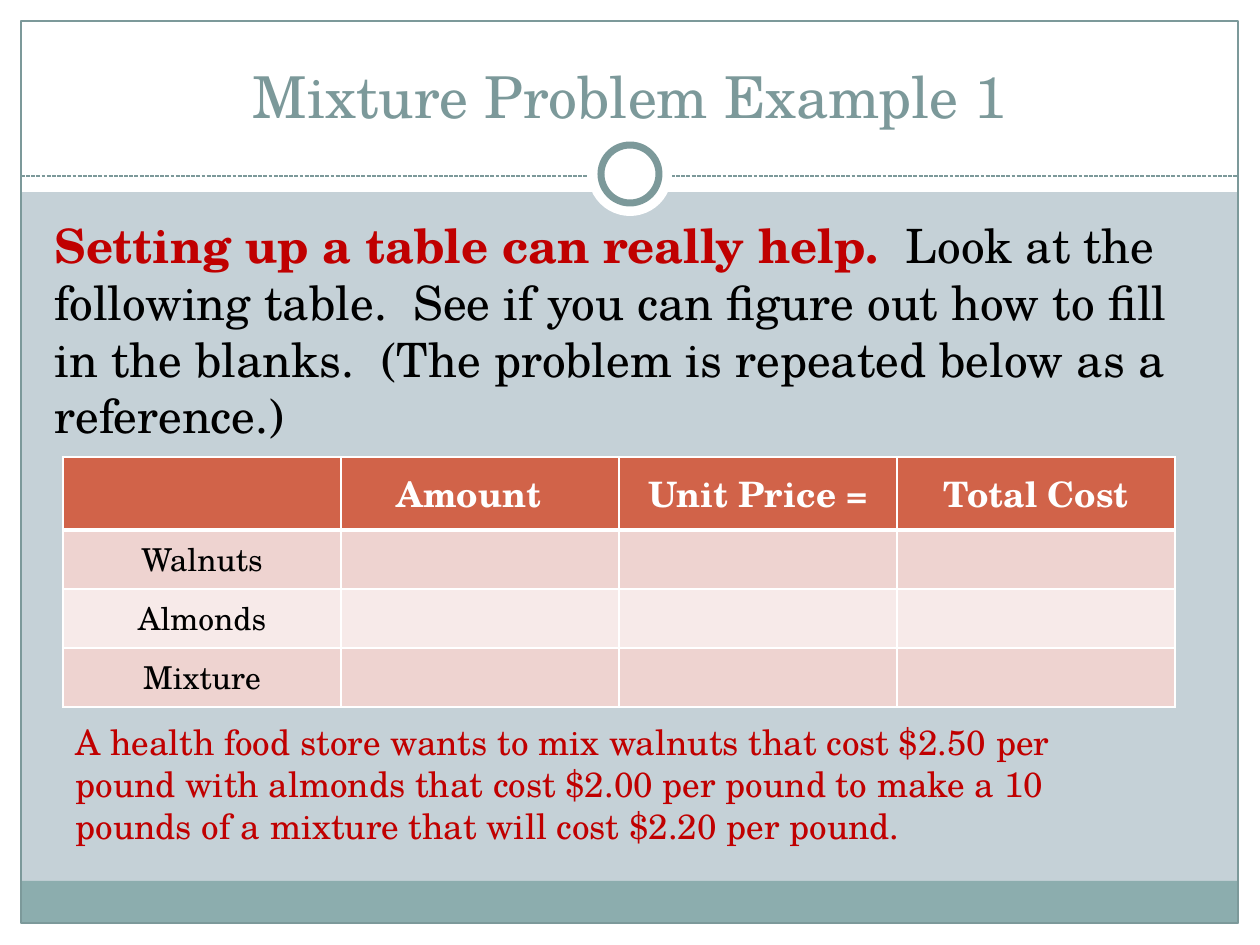
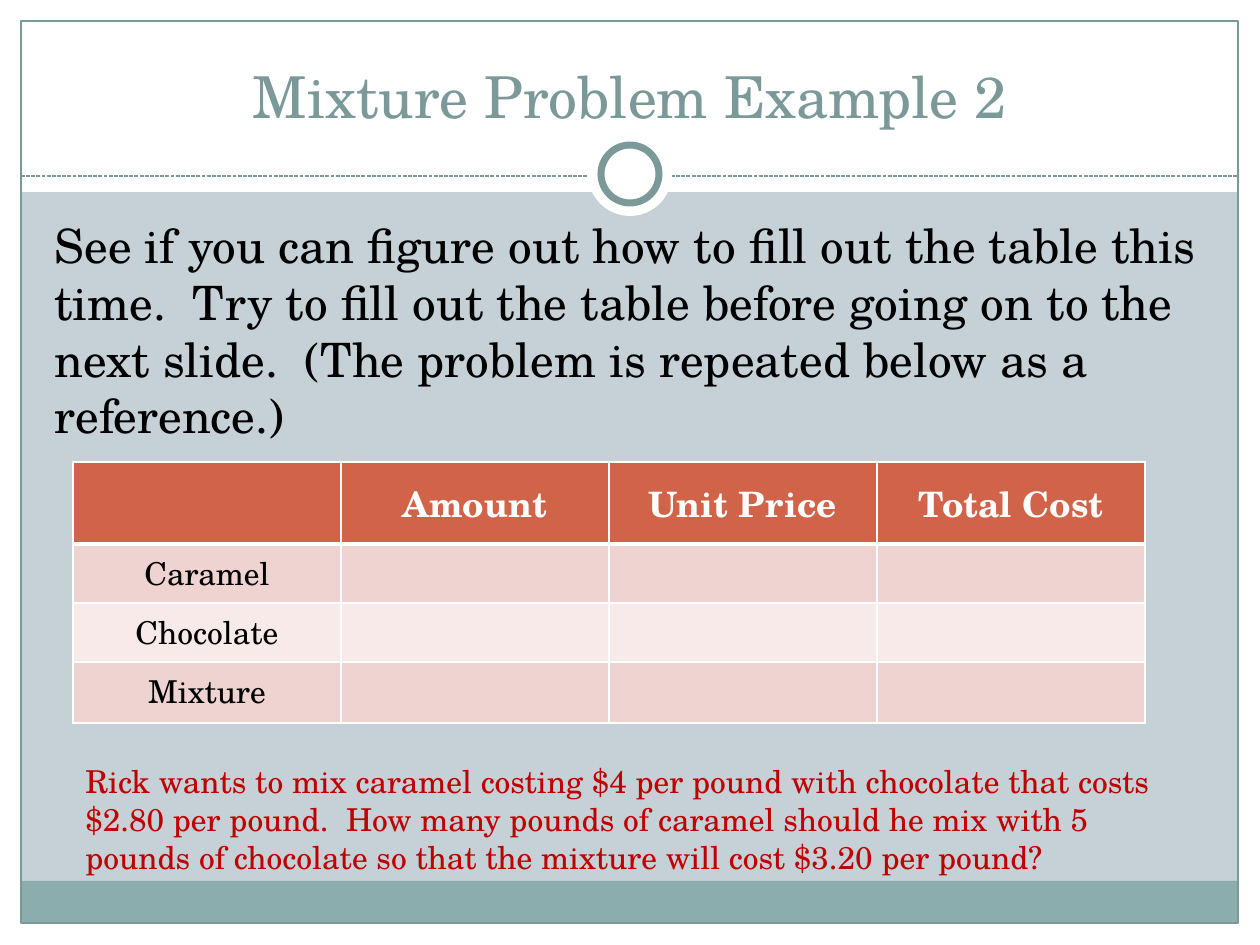
from lxml import etree
from pptx import Presentation
from pptx.dml.color import RGBColor
from pptx.enum.dml import MSO_LINE
from pptx.enum.shapes import MSO_CONNECTOR, MSO_SHAPE
from pptx.enum.text import MSO_ANCHOR, MSO_AUTO_SIZE, PP_ALIGN
from pptx.oxml.ns import qn
from pptx.util import Pt

PIXEL = 914400 // 126
FONT = "TeX Gyre Schola"
COLORS = {
    "background": "C5D1D7", "white": "FFFFFF", "footer": "8CADAE",
    "accent": "7C999A", "red": "C00000", "black": "000000",
    "header": "D16349", "row_dark": "EED3D0", "row_light": "F7EAE9",
}
RECTANGLE, OVAL = MSO_SHAPE.RECTANGLE, MSO_SHAPE.OVAL
STRAIGHT, SHORT_DASH = MSO_CONNECTOR.STRAIGHT, MSO_LINE.SQUARE_DOT
CENTER, MIDDLE, BOTTOM = PP_ALIGN.CENTER, MSO_ANCHOR.MIDDLE, MSO_ANCHOR.BOTTOM
NO_AUTOFIT = MSO_AUTO_SIZE.NONE

# kind, left, top, width, height, fill, line width in points
FRAME_SHAPES = [
    (RECTANGLE, 0, 924, 1260, 21, "white", 0),
    (RECTANGLE, 0, 0, 1260, 192, "white", 0),
    (RECTANGLE, 0, 0, 21, 945, "white", 0),
    (RECTANGLE, 1239, 0, 21, 945, "white", 0),
    (RECTANGLE, 21, 881, 1217, 43, "footer", 0),
    (RECTANGLE, 21, 21, 1217, 902, None, 0.75),
    ("divider", 21, 176, 1217, 0, None, 0.75),
    (OVAL, 588, 132, 84, 84, "white", 0),
    (OVAL, 601, 145, 58, 58, "white", 4),
]

SLIDES = [
    {
        "title": "Mixture Problem Example 1",
        "intro": [
            ("Setting up a table can really help.  ", "red", True),
            ("Look at the following table.  See if you can figure out how to "
             "fill in the blanks.  (The problem is repeated below as a "
             "reference.)", "black", False),
        ],
        "headings": ["", "Amount", "Unit Price =", "Total Cost"],
        "heading_shift": 22,
        "ingredients": ["Walnuts", "Almonds", "Mixture"],
        "table_at": (63, 457), "column_width": 278,
        "row_heights": [73, 59, 59, 59],
        "problem": "A health food store wants to mix walnuts that cost $2.50 "
                   "per pound with almonds that cost $2.00 per pound to make "
                   "a 10 pounds of a mixture that will cost $2.20 per pound.",
        "problem_at": (63, 714, 1092, 178), "problem_size": 20,
    },
    {
        "title": "Mixture Problem Example 2",
        "intro": [
            ("See if you can figure out how to fill out the table this time.  "
             "Try to fill out the table before going on to the next slide.  "
             "(The problem is repeated below as a reference.)",
             "black", False),
        ],
        "headings": ["", "Amount", "Unit Price", "Total Cost"],
        "heading_shift": 0,
        "ingredients": ["Caramel", "Chocolate", "Mixture"],
        "table_at": (73, 462), "column_width": 268,
        "row_heights": [82, 59, 59, 61],
        "problem": "Rick wants to mix caramel costing $4 per pound with "
                   "chocolate that costs $2.80 per pound.  How many pounds of "
                   "caramel should he mix with 5 pounds of chocolate so that "
                   "the mixture will cost $3.20 per pound?",
        "problem_at": (73, 756, 1124, 165), "problem_size": 18,
    },
]


def format_runs(para, size, color, bold=False):
    """Give every run of a paragraph its font, size, colour and weight."""
    for span in para.runs:
        span.font.name = FONT
        span.font.size = Pt(size)
        span.font.bold = bold
        span.font.color.rgb = RGBColor.from_string(COLORS[color])


def add_borders(cell, top, bottom):
    """Draw white cell borders; top and bottom widths are in points."""
    properties = cell._tc.get_or_add_tcPr()
    for side, width in (("L", 1), ("R", 1), ("T", top), ("B", bottom)):
        line = etree.SubElement(properties, qn(f"a:ln{side}"), w=str(Pt(width)))
        fill = etree.SubElement(line, qn("a:solidFill"))
        etree.SubElement(fill, qn("a:srgbClr"), val=COLORS["white"])


deck = Presentation()
deck.slide_width = 1260 * PIXEL
deck.slide_height = 945 * PIXEL
layout = deck.slide_layouts[1]
layout.background.fill.solid()
layout.background.fill.fore_color.rgb = RGBColor.from_string(COLORS["background"])
pages = [deck.slides.add_slide(layout) for _ in SLIDES]

# Shared frame: drawn once, then moved to the layout
for kind, left, top, width, height, fill, line_width in FRAME_SHAPES:
    left, top, width, height = (n * PIXEL for n in (left, top, width, height))
    if kind == "divider":
        shape = pages[0].shapes.add_connector(STRAIGHT, left, top, left + width, top)
        etree.SubElement(shape._element.spPr, qn("a:effectLst"))
        shape.line.dash_style = SHORT_DASH
    else:
        shape = pages[0].shapes.add_shape(kind, left, top, width, height)
        shape.shadow.inherit = False
        if fill:
            shape.fill.solid()
            shape.fill.fore_color.rgb = RGBColor.from_string(COLORS[fill])
        else:
            shape.fill.background()
    if line_width:
        shape.line.width = Pt(line_width)
        shape.line.color.rgb = RGBColor.from_string(COLORS["accent"])
    else:
        shape.line.fill.background()
    layout.shapes.element.append(shape._element)

for page, content in zip(pages, SLIDES):
    title, body = page.placeholders
    title.left, title.top = 42 * PIXEL, 32 * PIXEL
    title.width, title.height = 1176 * PIXEL, 104 * PIXEL
    title.text_frame.text = content["title"]
    title.text_frame.auto_size = NO_AUTOFIT
    title.text_frame.vertical_anchor = BOTTOM
    title.text_frame.paragraphs[0].alignment = CENTER
    format_runs(title.text_frame.paragraphs[0], 33, "accent")

    body.left, body.top = 42 * PIXEL, 210 * PIXEL
    body.width, body.height = 1172 * PIXEL, 246 * PIXEL
    body.text_frame.auto_size = NO_AUTOFIT
    para = body.text_frame.paragraphs[0]
    properties = para._p.get_or_add_pPr()
    properties.set("marL", "0")
    properties.set("indent", "0")
    etree.SubElement(properties, qn("a:buNone"))
    for text, color, bold in content["intro"]:
        span = para.add_run()
        span.text = text
        span.font.name = FONT
        span.font.size = Pt(27)
        span.font.bold = bold
        span.font.color.rgb = RGBColor.from_string(COLORS[color])

    left, top = content["table_at"]
    heights = content["row_heights"]
    table = page.shapes.add_table(
        4, 4, left * PIXEL, top * PIXEL,
        4 * content["column_width"] * PIXEL, sum(heights) * PIXEL).table
    for column in table.columns:
        column.width = content["column_width"] * PIXEL
    rows = [content["headings"]] + [[name, "", "", ""] for name in content["ingredients"]]
    for row, texts in enumerate(rows):
        table.rows[row].height = heights[row] * PIXEL
        row_fill = "header" if row == 0 else "row_dark" if row % 2 else "row_light"
        for column, text in enumerate(texts):
            cell = table.cell(row, column)
            add_borders(cell, 3 if row == 1 else 1, 3 if row == 0 else 1)
            cell.fill.solid()
            cell.fill.fore_color.rgb = RGBColor.from_string(COLORS[row_fill])
            if not text:
                continue
            cell.text_frame.text = text
            para = cell.text_frame.paragraphs[0]
            para.alignment = CENTER
            if row == 0:
                cell.vertical_anchor = MIDDLE
                format_runs(para, 20, "white", True)
            else:
                format_runs(para, 18, "black")
    table.cell(0, 1).margin_right += content["heading_shift"] * PIXEL

    box = page.shapes.add_textbox(*(n * PIXEL for n in content["problem_at"]))
    box.text_frame.word_wrap = True
    box.text_frame.text = content["problem"]
    format_runs(box.text_frame.paragraphs[0], content["problem_size"], "red")

deck.save("out.pptx")
